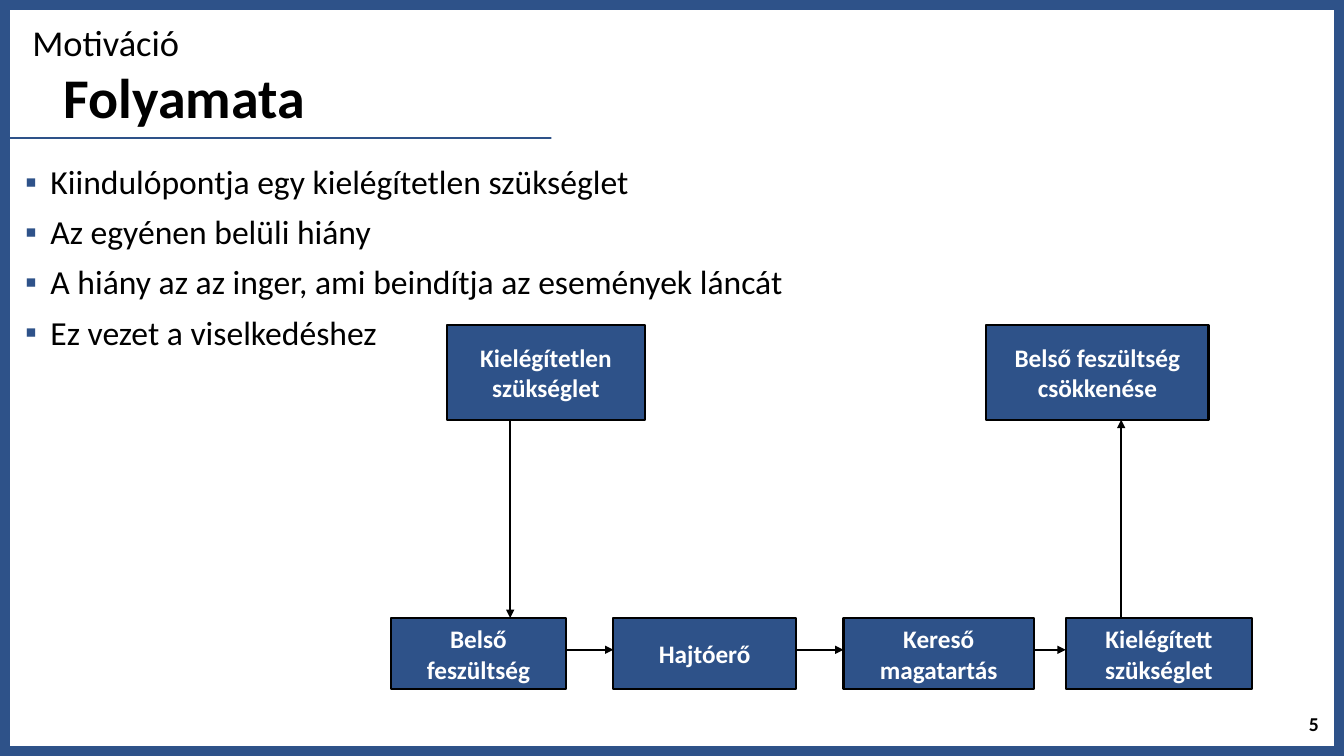
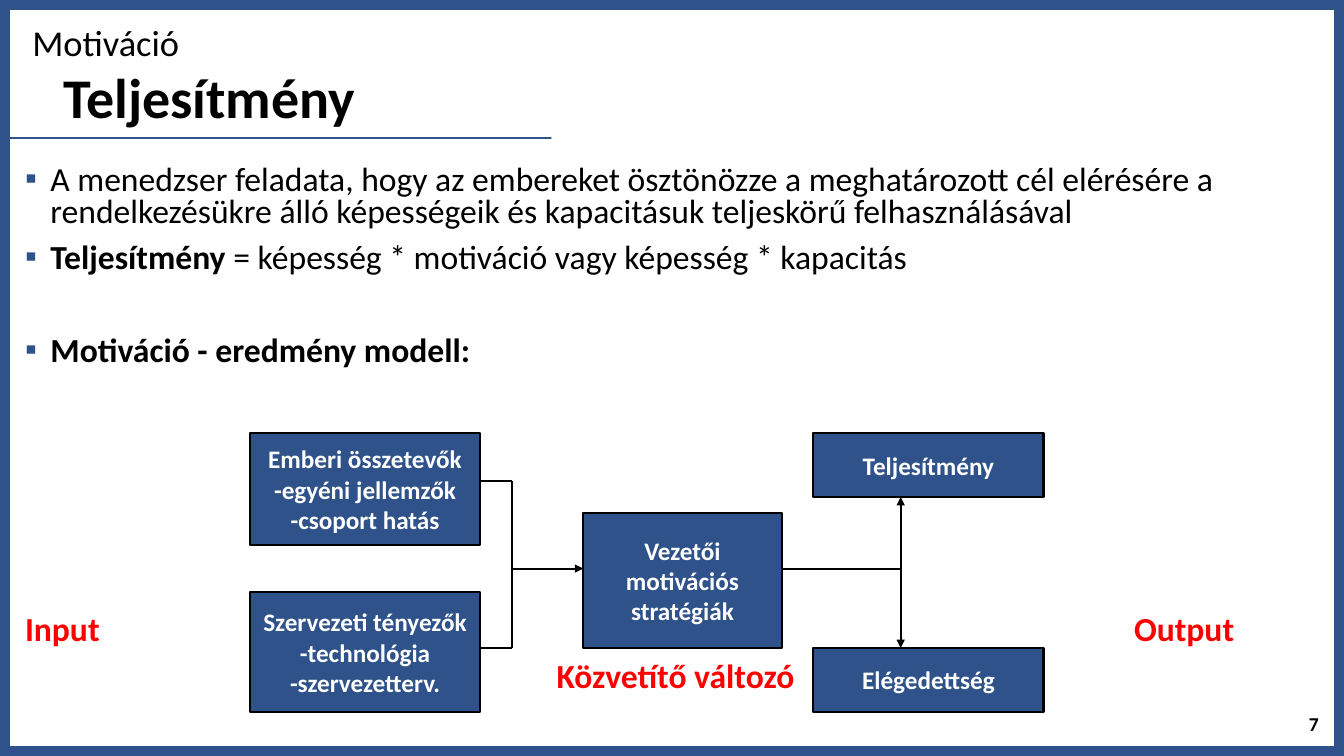
from dataclasses import dataclass

import pptx
import pptx.util
import pptx.dml.color
import pptx.enum.shapes
import pptx.enum.text
import pptx.oxml.ns
from lxml import etree

Inches, Pt = pptx.util.Inches, pptx.util.Pt
ALIGN, ANCHOR = pptx.enum.text.PP_ALIGN, pptx.enum.text.MSO_ANCHOR
qn = pptx.oxml.ns.qn


@dataclass(frozen=True)
class Theme:
    font: str = "Calibri"
    blue: str = "2E5289"
    white: str = "FFFFFF"
    black: str = "000000"
    red: str = "FF0000"
    title: int = 40
    kicker: int = 26
    body: int = 24
    box: int = 18
    number: int = 14
    line: float = 1.5


@dataclass(frozen=True)
class Grid:
    """An area in inches, divided into columns and rows."""
    left: float
    top: float
    width: float
    height: float
    cols: float
    rows: float

    def point(self, col, row):
        return (Inches(self.left + col * self.width / self.cols),
                Inches(self.top + row * self.height / self.rows))

    def box(self, col, row, cols, rows):
        return (*self.point(col, row), Inches(cols * self.width / self.cols),
                Inches(rows * self.height / self.rows))


T = Theme()
PAGE = Grid(0, 0, 13.33, 7.5, 133.3, 75)
FLOW = Grid(3.88, 3.22, 8.5, 3.62, 108, 46)
MODEL = Grid(2.48, 4.3, 7.87, 2.76, 100, 35)


def rgb(value):
    return pptx.dml.color.RGBColor.from_string(value)


def style(p, size, color=T.black, bold=False, align=ALIGN.LEFT):
    p.alignment = align
    for r in p.runs:
        r.font.name, r.font.size, r.font.bold = T.font, Pt(size), bold
        r.font.color.rgb = rgb(color)


def place(sp, box):
    sp.left, sp.top, sp.width, sp.height = box


def hang(p, bullet=None):
    """Give a paragraph a hanging indent, with or without a bullet."""
    pPr = p._p.get_or_add_pPr()
    pPr.set("marL", str(Inches(0.25)))
    pPr.set("indent", str(-Inches(0.25)))
    if bullet:
        color = etree.SubElement(pPr, qn("a:buClr"))
        etree.SubElement(color, qn("a:srgbClr"), val=T.blue)
        etree.SubElement(pPr, qn("a:buChar"), char=bullet)
    else:
        etree.SubElement(pPr, qn("a:buNone"))


def add_rect(s, box, fill):
    sp = s.shapes.add_shape(pptx.enum.shapes.MSO_SHAPE.RECTANGLE, *box)
    sp.shadow.inherit = False
    sp.fill.solid()
    sp.fill.fore_color.rgb = rgb(fill)
    sp.line.fill.background()
    return sp


def add_node(s, grid, cell, text):
    sp = add_rect(s, grid.box(*cell), T.blue)
    sp.line.color.rgb = rgb(T.black)
    sp.line.width = Pt(T.line)
    tf = sp.text_frame
    tf.text = text
    tf.word_wrap = False
    tf.vertical_anchor = ANCHOR.MIDDLE
    for p in tf.paragraphs:
        style(p, T.box, T.white, True, ALIGN.CENTER)


def add_line(s, grid, start, end, arrow=False):
    kind = pptx.enum.shapes.MSO_CONNECTOR.STRAIGHT
    cxn = s.shapes.add_connector(kind, *grid.point(*start), *grid.point(*end))
    cxn.line.color.rgb = rgb(T.black)
    cxn.line.width = Pt(T.line)
    if arrow:
        etree.SubElement(cxn.line._get_or_add_ln(), qn("a:tailEnd"), type="triangle")
    etree.SubElement(cxn._element.spPr, qn("a:effectLst"))


def add_label(s, cell, text, size, color, align):
    tf = s.shapes.add_textbox(*PAGE.box(*cell)).text_frame
    tf.text = text
    tf.word_wrap = True
    tf.vertical_anchor = ANCHOR.MIDDLE
    style(tf.paragraphs[0], size, color, True, align)


def set_layout(layout, s):
    """Put the background, white panels and placeholder places on the layout."""
    layout.background.fill.solid()
    layout.background.fill.fore_color.rgb = rgb(T.blue)
    panels = [(54.7, 1.2, 77.6, 60.2), (1, 1, 131.3, 12.6), (1, 13.8, 131.3, 60.2)]
    for i, panel in enumerate(panels):
        sp = add_rect(s, PAGE.box(*panel), T.white)
        layout.shapes._spTree.insert(2 + i, sp._element)
    places = {0: (5.3, 6, 125.9, 7.9), 1: (1.5, 15.9, 125.9, 57.6),
              2: (2.2, 2.3, 125.9, 4.8)}
    for ph in layout.placeholders:
        if ph.placeholder_format.idx in places:
            place(ph, PAGE.box(*places[ph.placeholder_format.idx]))


def fill_heading(s, kicker, title, number):
    for sp, text, size, spacing, bold, anchor in (
            (s.shapes.title, title, T.title, 0.9, True, ANCHOR.MIDDLE),
            (s.placeholders[2], kicker, T.kicker, 0.8, False, ANCHOR.TOP)):
        tf = sp.text_frame
        tf.text = text
        tf.vertical_anchor = anchor
        tf.auto_size = pptx.enum.text.MSO_AUTO_SIZE.NONE
        p = tf.paragraphs[0]
        if not bold:
            hang(p)
        p.line_spacing, p.space_before = spacing, Pt(0)
        style(p, size, bold=bold)
    add_label(s, (101.8, 69.8, 30, 4), number, T.number, T.black, ALIGN.RIGHT)


def fill_list(s, items, spacing):
    """Fill the body; an item is (space before, bold lead, plain rest)."""
    tf = s.placeholders[1].text_frame
    tf.auto_size = pptx.enum.text.MSO_AUTO_SIZE.NONE
    for i, (before, lead, rest) in enumerate(items):
        p = tf.add_paragraph() if i else tf.paragraphs[0]
        hang(p, "▪")
        p.line_spacing, p.space_before = spacing, Pt(before)
        for text in filter(None, (lead, rest)):
            p.add_run().text = text
        style(p, T.body)
        if lead:
            p.runs[0].font.bold = True


def draw_flow(s, grid):
    bottom, mid, height = 37, 41, 9
    steps = [(0, 22, "Belső\nfeszültség"), (28, 23, "Hajtóerő"),
             (57, 24, "Kereső\nmagatartás"), (85, 23.5, "Kielégített\nszükséglet")]
    add_node(s, grid, (7, 0, 25, 12), "Kielégítetlen\nszükséglet")
    add_node(s, grid, (75, 0, 28, 12), "Belső feszültség\ncsökkenése")
    for col, width, text in steps:
        add_node(s, grid, (col, bottom, width, height), text)
    for (col, width, _), (target, _, _) in zip(steps, steps[1:]):
        add_line(s, grid, (col + width, mid), (target, mid), True)
    add_line(s, grid, (15, 12), (15, bottom), True)
    add_line(s, grid, (92, bottom), (92, 12), True)


def draw_model(s, grid):
    nodes = [((0, 0, 29, 14), "Emberi összetevők\n-egyéni jellemzők\n-csoport hatás"),
             ((0, 20, 29, 15), "Szervezeti tényezők\n-technológia\n-szervezetterv."),
             ((42, 10, 25, 17), "Vezetői\nmotivációs\nstratégiák"),
             ((71, 0, 29, 8), "Teljesítmény"),
             ((71, 27, 29, 8), "Elégedettség")]
    for cell, text in nodes:
        add_node(s, grid, cell, text)
    join, split, mid = 33, 82, 17
    for row in (6, 27):
        add_line(s, grid, (29, row), (join, row))
    add_line(s, grid, (join, 6), (join, 27))
    add_line(s, grid, (join, mid), (42, mid), True)
    add_line(s, grid, (67, mid), (split, mid))
    for row in (8, 27):
        add_line(s, grid, (split, mid), (split, row), True)


def build_process(s):
    fill_heading(s, "Motiváció", "Folyamata", "5")
    lines = ["Kiindulópontja egy kielégítetlen szükséglet",
             "Az egyénen belüli hiány",
             "A hiány az az inger, ami beindítja az események láncát",
             "Ez vezet a viselkedéshez"]
    fill_list(s, [(10 if i else 0, "", text) for i, text in enumerate(lines)], 0.9)
    draw_flow(s, FLOW)


def build_performance(s):
    fill_heading(s, "Motiváció", "Teljesítmény", "7")
    fill_list(s, [
        (0, "", "A menedzser feladata, hogy az embereket ösztönözze a meghatározott "
                "cél elérésére a rendelkezésükre álló képességeik és kapacitásuk "
                "teljeskörű felhasználásával"),
        (10, "Teljesítmény", " = képesség * motiváció vagy képesség * kapacitás"),
        (43, "Motiváció - eredmény modell:", "")], 0.8)
    draw_model(s, MODEL)
    for cell, text, align in (
            ((1.5, 59.8, 15, 5), "Input", ALIGN.LEFT),
            ((111.5, 59.8, 15, 5), "Output", ALIGN.LEFT),
            ((52, 64.5, 30, 5), "Közvetítő változó", ALIGN.CENTER)):
        add_label(s, cell, text, T.body, T.red, align)


def main():
    prs = pptx.Presentation()
    prs.slide_width, prs.slide_height = Inches(PAGE.width), Inches(PAGE.height)
    layout = prs.slide_layouts.get_by_name("Two Content")
    process, performance = (prs.slides.add_slide(layout) for _ in range(2))
    set_layout(layout, process)
    build_process(process)
    build_performance(performance)
    prs.save("out.pptx")


if __name__ == "__main__":
    main()
